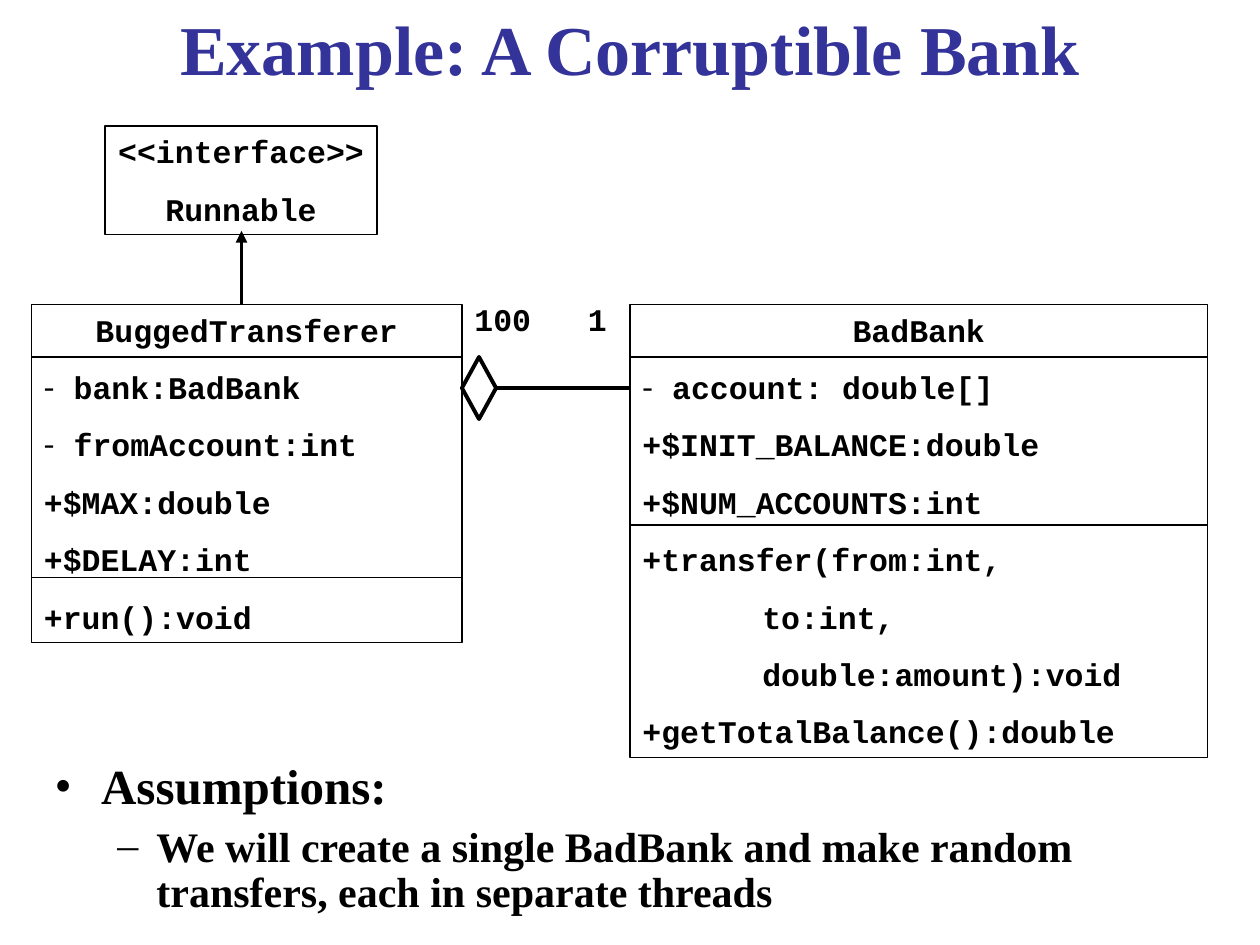
from dataclasses import dataclass

from lxml import etree
from pptx import Presentation
from pptx import util as u
from pptx.dml.color import RGBColor
from pptx.enum import shapes, text
from pptx.oxml.ns import qn

Pt = u.Pt


@dataclass(frozen=True)
class Theme:
    ink: str = "000000"
    blue: str = "333399"
    serif: str = "Times New Roman"
    mono: str = "Courier New"
    head: int = 40
    point: int = 28
    detail: int = 24
    code: int = 18
    thin: float = 0.75
    thick: float = 2.25
    gap: float = 11.2
    side: float = 7.2
    edge: float = 3.6


T = Theme()


def sub(node, tag, **attrs):
    return etree.SubElement(node, qn(tag), attrs)


def place(shape, x, y, w, h):
    shape.left, shape.top, shape.width, shape.height = map(Pt, (x, y, w, h))


def write(frame, words, *, first=False, size=T.code, font=T.mono, color=T.ink,
          center=False, before=0, lines=None, level=0, left=0, hang=0,
          bullet=None):
    para = frame.paragraphs[0] if first else frame.add_paragraph()
    para.alignment = text.PP_ALIGN.CENTER if center else text.PP_ALIGN.LEFT
    para.level = level
    para.space_before = Pt(before)
    if lines:
        para.line_spacing = lines
    run = para.add_run()
    run.text = words
    run.font.name, run.font.size, run.font.bold = font, Pt(size), True
    run.font.color.rgb = RGBColor.from_string(color)
    props = para._p.get_or_add_pPr()
    props.set("marL", str(Pt(left)))
    props.set("indent", str(Pt(-hang)))
    if bullet:
        sub(sub(props, "a:buClr"), "a:srgbClr", val=color)
        sub(props, "a:buFont", typeface=T.serif)
        sub(props, "a:buChar", char=bullet)


def setup(frame, anchor=text.MSO_ANCHOR.TOP):
    frame.word_wrap = True
    frame.auto_size = text.MSO_AUTO_SIZE.NONE
    frame.vertical_anchor = anchor
    frame.margin_left = frame.margin_right = Pt(T.side)
    frame.margin_top = frame.margin_bottom = Pt(T.edge)
    return frame


def stroke(line, width):
    line.color.rgb = RGBColor.from_string(T.ink)
    line.width = Pt(width)


def draw(slide, kind, x, y, w, h, width=T.thin):
    shape = slide.shapes.add_shape(kind, *map(Pt, (x, y, w, h)))
    shape.shadow.inherit = False
    shape.fill.background()
    stroke(shape.line, width)
    return shape


def link(slide, x1, y1, x2, y2, width=T.thin, arrow=False):
    wire = slide.shapes.add_connector(
        shapes.MSO_CONNECTOR.STRAIGHT, *map(Pt, (x1, y1, x2, y2)))
    stroke(wire.line, width)
    props = wire._element.spPr
    if arrow:
        sub(props.find(qn("a:ln")), "a:tailEnd", type="triangle")
    sub(props, "a:effectLst")


def klass(slide, x, y, w, h, rows, rules=()):
    box = draw(slide, shapes.MSO_SHAPE.RECTANGLE, x, y, w, h)
    frame = setup(box.text_frame)
    for i, (words, style) in enumerate(rows):
        write(frame, words, first=i == 0, before=T.gap if i else 0, **style)
    for rule in rules:
        link(slide, x, rule, x + w, rule)


def label(slide, words, x, y, w, h):
    box = slide.shapes.add_textbox(*map(Pt, (x, y, w, h)))
    write(setup(box.text_frame), words, first=True)


def main():
    deck = Presentation()
    deck.slide_width, deck.slide_height = Pt(720), Pt(540)
    slide = deck.slides.add_slide(deck.slide_layouts[1])
    title, body = slide.placeholders

    place(title, 24, -0.5, 672, 55.5)
    write(setup(title.text_frame, text.MSO_ANCHOR.MIDDLE),
          "Example: A Corruptible Bank", first=True, size=T.head,
          font=T.serif, color=T.blue, center=True)

    place(body, 24, 432, 672, 95)
    frame = setup(body.text_frame)
    write(frame, "Assumptions:", first=True, size=T.point, font=T.serif,
          before=7, lines=0.9, left=26.6, hang=26.6, bullet="•")
    write(frame, "We will create a single BadBank and make random transfers, "
          "each in separate threads", size=T.detail, font=T.serif, before=6,
          lines=0.9, level=1, left=58.2, hang=22.3, bullet="–")

    name, plain = {"center": True}, {}
    dash = {"left": 17, "hang": 17, "bullet": "-"}
    inner = {"left": 68.5}
    top, rule = 174, 204

    klass(slide, 18, top, 246, 193, [
        ("BuggedTransferer", name),
        ("bank:BadBank", dash),
        ("fromAccount:int", dash),
        ("+$MAX:double", plain),
        ("+$DELAY:int", plain),
        ("+run():void", plain),
    ], (rule, 330))
    klass(slide, 360, top, 330, 259, [
        ("BadBank", name),
        ("account: double[]", dash),
        ("+$INIT_BALANCE:double", plain),
        ("+$NUM_ACCOUNTS:int", plain),
        ("+transfer(from:int,", plain),
        ("to:int,", inner),
        ("double:amount):void", inner),
        ("+getTotalBalance():double", plain),
    ], (rule, 300))
    klass(slide, 60, 72, 155.5, 62, [
        ("<<interface>>", name), ("Runnable", name)])

    link(slide, 138, top, 138, 132, T.thick, arrow=True)
    draw(slide, shapes.MSO_SHAPE.DIAMOND, 264, 204, 19.5, 35.5, T.thick)
    link(slide, 283.5, 221.75, 360, 221.75, T.thick)

    label(slide, "100", 264, 168, 60, 29)
    label(slide, "1", 328.8, 168, 31.2, 29)

    deck.save("out.pptx")


if __name__ == "__main__":
    main()
